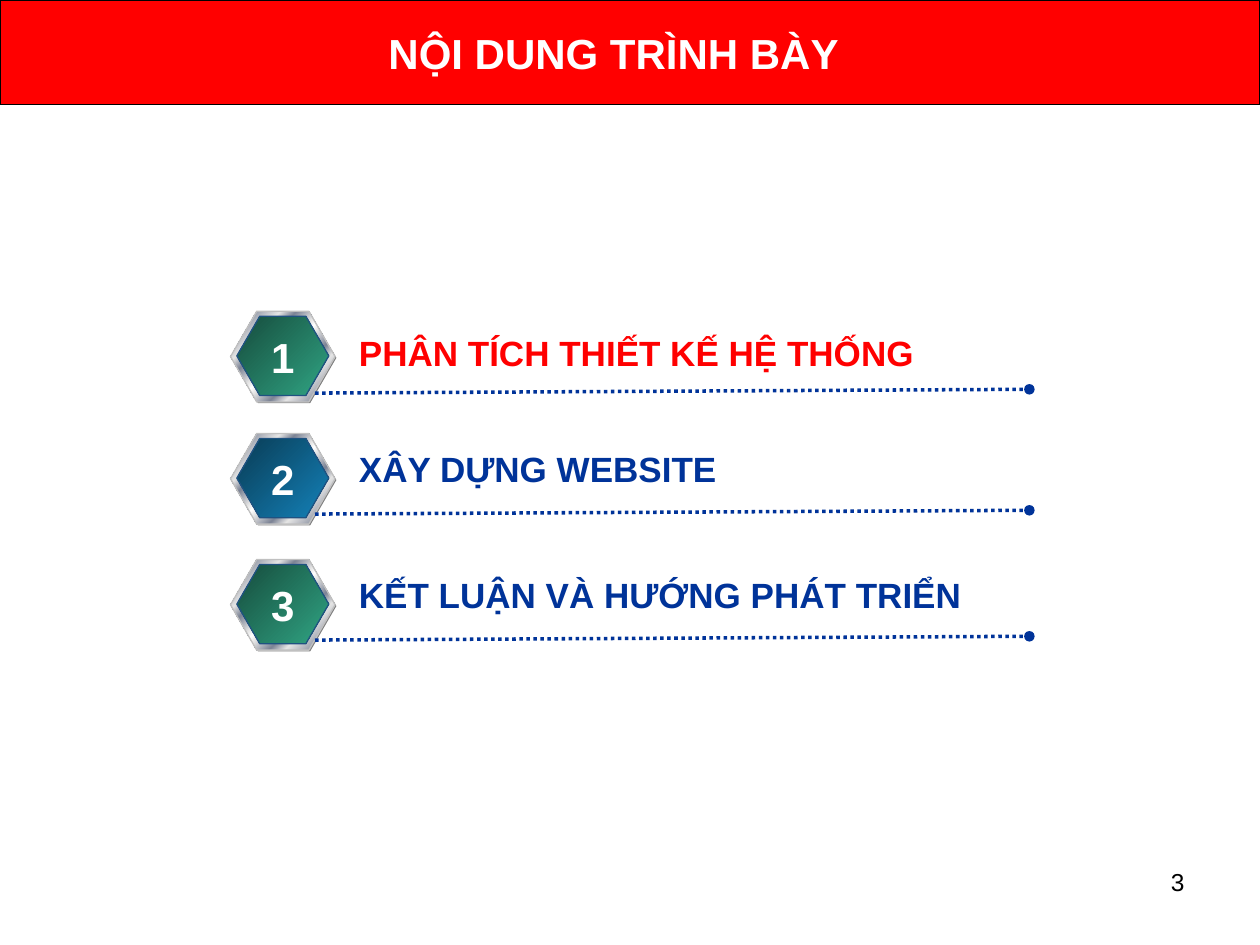
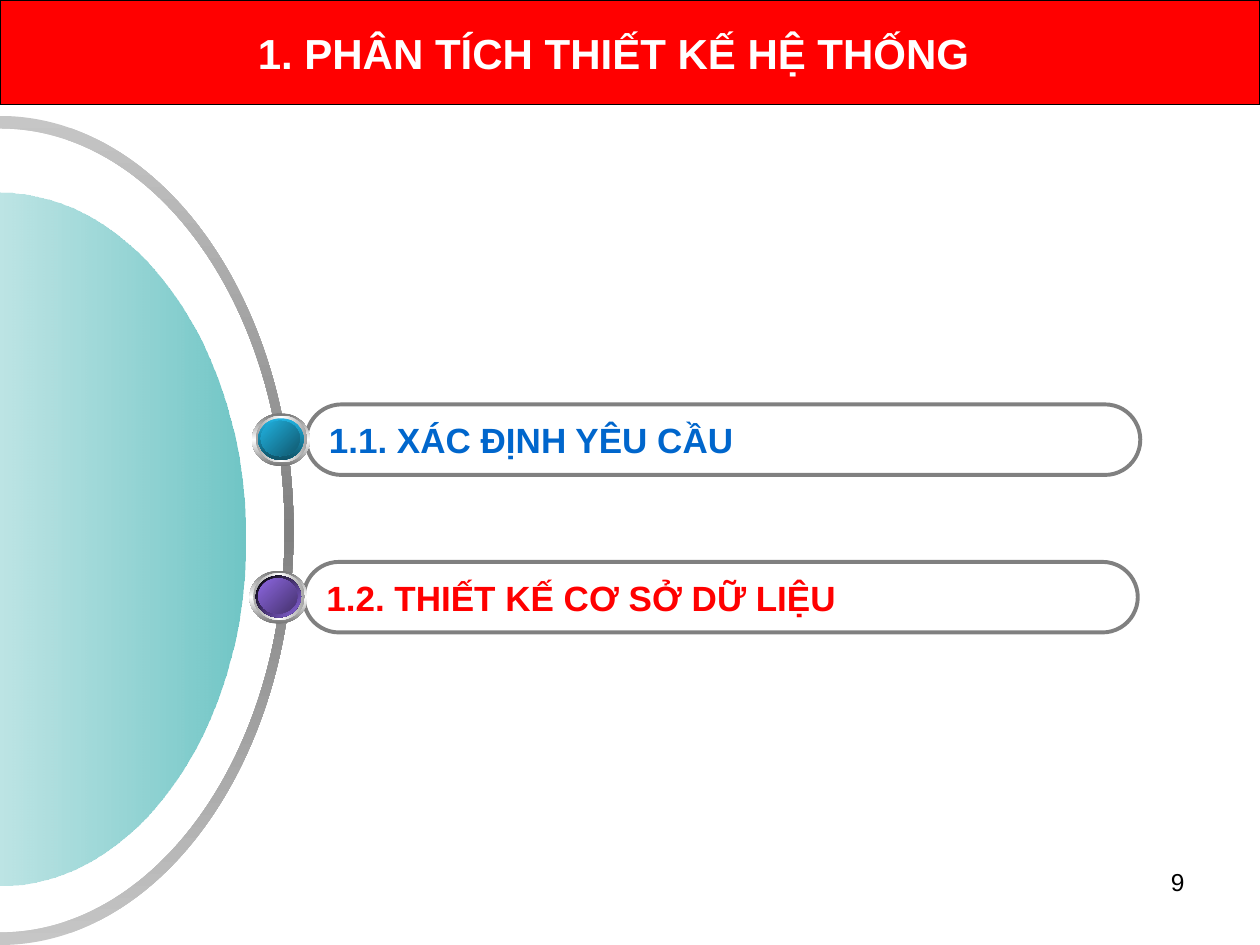
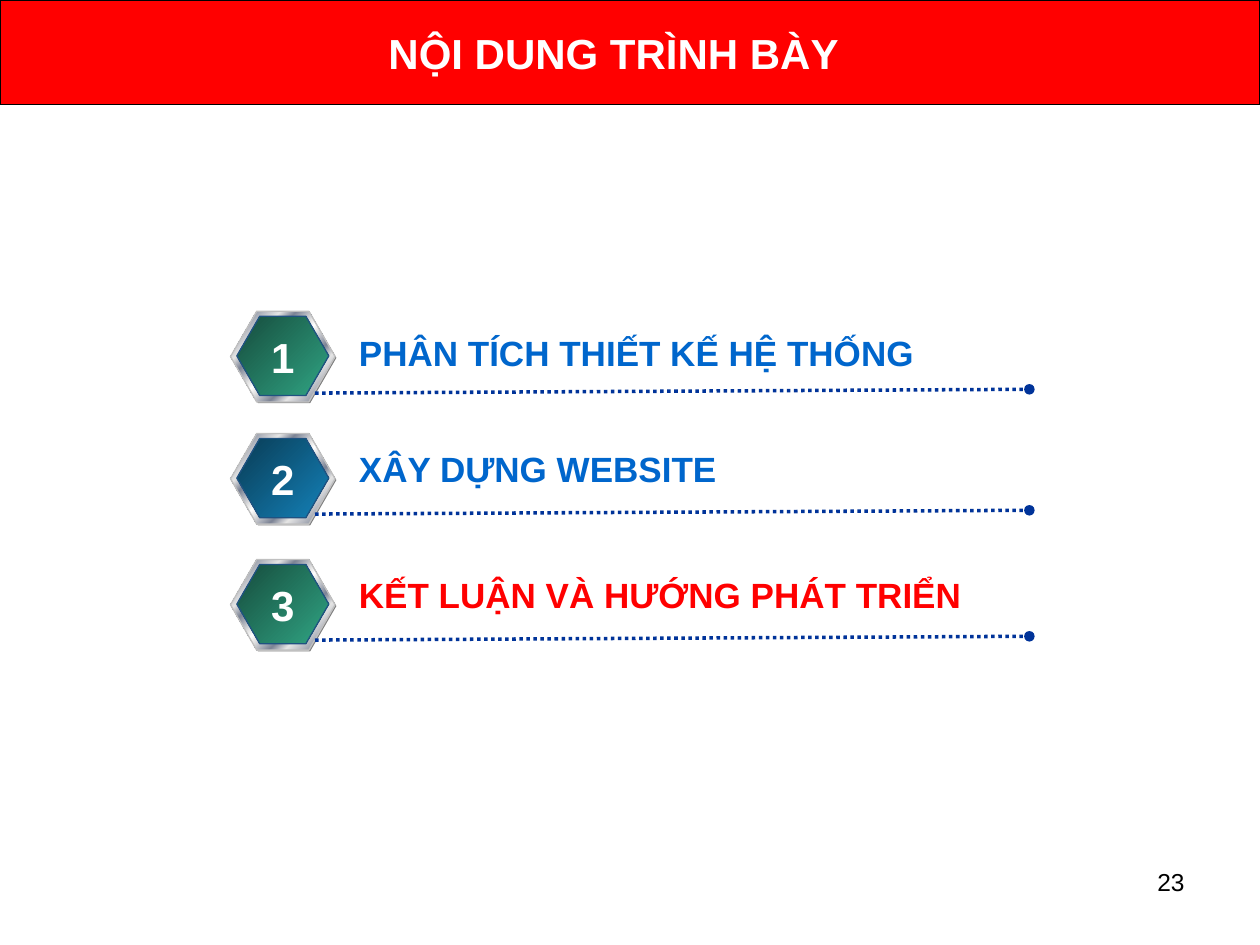
from lxml import etree
from pptx import Presentation
from pptx.dml.color import RGBColor
from pptx.enum.dml import MSO_LINE
from pptx.enum.shapes import MSO_CONNECTOR, MSO_SHAPE
from pptx.enum.text import MSO_ANCHOR, MSO_AUTO_SIZE, PP_ALIGN
from pptx.oxml.ns import qn
from pptx.util import Emu, Pt

RECT = MSO_SHAPE.RECTANGLE
HEX = MSO_SHAPE.HEXAGON
PILL = MSO_SHAPE.ROUNDED_RECTANGLE
OVAL = MSO_SHAPE.OVAL
STRAIGHT = MSO_CONNECTOR.STRAIGHT
DOTS = MSO_LINE.ROUND_DOT
LEFT, MID, RIGHT = PP_ALIGN.LEFT, PP_ALIGN.CENTER, PP_ALIGN.RIGHT
TOP, MIDDLE = MSO_ANCHOR.TOP, MSO_ANCHOR.MIDDLE
GROW = MSO_AUTO_SIZE.SHAPE_TO_FIT_TEXT

FONT = "Arial"
RED, NAVY, BLUE = "FF0000", "003399", "0066CC"
WHITE, BLACK, GRAY = "FFFFFF", "000000", "808080"
GREEN_FACE = [(0, "164C3D"), (100, "30A483")]
BLUE_FACE = [(0, "093C55"), (100, "1481B8")]
STEEL = [(0, "E6E6E6"), (8, "7D8496"), (26, "E6E6E6"), (34, "7D8496"),
         (46, "E6E6E6"), (50, "FFFFFF"), (54, "E6E6E6"), (66, "7D8496"),
         (74, "E6E6E6"), (92, "7D8496"), (100, "E6E6E6")]

AGENDA = "NỘI DUNG TRÌNH BÀY"
ROWS = [
    ("PHÂN TÍCH THIẾT KẾ HỆ THỐNG", 247, 258, 312, GREEN_FACE),
    ("XÂY DỰNG WEBSITE", 344, 350, 408, BLUE_FACE),
    ("KẾT LUẬN VÀ HƯỚNG PHÁT TRIỂN", 444, 450, 508, GREEN_FACE),
]


def px(*sizes):
    return [Emu(round(size * 9144)) for size in sizes]


def rgb(code):
    return RGBColor.from_string(code)


def blend(shape, stops, angle):
    shape.fill.gradient()
    grad = shape._element.spPr.find(qn("a:gradFill"))
    grad.find(qn("a:lin")).set("ang", str(angle * 60000))
    group = grad.find(qn("a:gsLst"))
    for old in list(group):
        group.remove(old)
    for place, code, *alpha in stops:
        stop = etree.SubElement(group, qn("a:gs"), pos=str(place * 1000))
        tint = etree.SubElement(stop, qn("a:srgbClr"), val=code)
        for part in alpha:
            etree.SubElement(tint, qn("a:alpha"), val=str(part * 1000))


def paint(shape, fill=None, angle=0, line=None, width=0.75):
    shape.shadow.inherit = False
    if fill is None:
        shape.fill.background()
    elif isinstance(fill, str):
        shape.fill.solid()
        shape.fill.fore_color.rgb = rgb(fill)
    else:
        blend(shape, fill, angle)
    if line:
        shape.line.color.rgb = rgb(line)
        shape.line.width = Pt(width)
    else:
        shape.line.fill.background()


def draw(slide, kind, box, adjust=None, **look):
    shape = slide.shapes.add_shape(kind, *px(*box))
    if adjust is not None:
        shape.adjustments[0] = adjust
    paint(shape, **look)
    return shape


def write(shape, text, size, color, bold=True, align=LEFT, anchor=MIDDLE, wrap=True):
    frame = shape.text_frame
    frame.text = text
    frame.word_wrap = wrap
    frame.vertical_anchor = anchor
    para = frame.paragraphs[0]
    para.alignment = align
    font = para.runs[0].font
    font.name = FONT
    font.size = Pt(size)
    font.bold = bold
    font.color.rgb = rgb(color)


def label(slide, box, text, size, color, **style):
    shape = slide.shapes.add_textbox(*px(*box))
    write(shape, text, size, color, **style)
    shape.text_frame.auto_size = GROW


def start(deck, text, number):
    slide = deck.slides.add_slide(deck.slide_layouts[5])
    band = draw(slide, RECT, (0, 0, 1000, 83), fill=RED, line=BLACK)
    title = slide.shapes.title
    title._element.addprevious(band._element)
    title.left, title.top, title.width, title.height = px(183, 17, 608, 50)
    write(title, text, 24, WHITE, align=MID, anchor=TOP)
    title.text_frame.auto_size = GROW
    page = slide.shapes.add_textbox(*px(717, 683, 233, 52))
    write(page, number, 14, BLACK, bold=False, align=RIGHT, anchor=TOP)
    return slide


def dotted(slide, top):
    line = slide.shapes.add_connector(STRAIGHT, *px(250, top, 817, top - 3))
    line.line.color.rgb = rgb(NAVY)
    line.line.width = Pt(2)
    line.line.dash_style = DOTS
    etree.SubElement(line.line._get_or_add_ln(), qn("a:tailEnd"), type="oval")
    etree.SubElement(line._element.spPr, qn("a:effectLst"))


def badge(slide, top, number, face):
    draw(slide, HEX, (184, top + 1, 83, 72), 0.289, fill=GRAY)
    draw(slide, HEX, (183, top, 83, 72), 0.289, fill=STEEL, angle=45, line="C0C0C0")
    draw(slide, HEX, (188, top + 4, 73, 63), 0.289, fill=face, angle=45, line="1F5281")
    label(slide, (205, top + 11, 39, 50), number, 24, WHITE, align=MID, wrap=False)


def agenda(deck, number, active, color):
    slide = start(deck, AGENDA, number)
    for index, (text, top, text_top, line_top, face) in enumerate(ROWS, 1):
        badge(slide, top, str(index), face)
        dotted(slide, line_top)
        label(slide, (275, text_top, 542, 43), text, 20,
              RED if index == active else color)


def arc(mid, wide, high):
    bend = 0.55
    half = [(0, -1), (bend, -1), (1, -bend), (1, 0), (1, bend), (bend, 1), (0, 1)]
    return [px(wide * across, mid + high * down) for across, down in half]


def outline(slide, points, order, fill, angle):
    pen = slide.shapes.build_freeform(*points[0])
    pen.add_line_segments(points[1:])
    shape = pen.convert_to_shape()
    lines = list(shape._element.spPr.iter(qn("a:lnTo")))
    for kind in order:
        if kind == "L":
            lines.pop(0)
            continue
        trio, lines = lines[:3], lines[3:]
        curve = etree.Element(qn("a:cubicBezTo"))
        trio[0].addprevious(curve)
        for line in trio:
            curve.append(line[0])
            line.getparent().remove(line)
    paint(shape, fill, angle)


def bead(slide, left, top, edge, edge_angle, core):
    rings = [
        (0, 0, 46, 42, [(0, "767676"), (50, WHITE), (100, "767676")], 90),
        (3, 2, 41, 37, [(0, "A2A2A2"), (50, WHITE), (100, "A2A2A2")], 0),
        (5, 4, 36, 33, edge, edge_angle),
        (7, 6, 31, 28, core, 45),
    ]
    for across, down, wide, high, fill, angle in rings:
        draw(slide, OVAL, (left + across, top + down, wide, high), fill=fill, angle=angle)


def topic(slide, left, top, text, color):
    pill = draw(slide, PILL, (left, top, 662, 56), 0.5, line=GRAY, width=2.25)
    write(pill, text, 20, color, wrap=False)


def section(deck):
    slide = start(deck, "1. PHÂN TÍCH THIẾT KẾ HỆ THỐNG", "9")
    ring = arc(421, 233, 329) + arc(421, 226, 319)[::-1]
    outline(slide, ring, "CCLCC", [(0, "C6C6C6"), (50, GRAY), (100, "C6C6C6")], 90)
    outline(slide, arc(428, 195, 275), "CC",
            [(0, "80CCCC", 52), (100, "009999", 56)], 0)
    topic(slide, 241, 446, "1.2. THIẾT KẾ CƠ SỞ DỮ LIỆU", RED)
    topic(slide, 243, 321, "1.1. XÁC ĐỊNH YÊU CẦU", BLUE)
    bead(slide, 200, 328, [(0, "21B3E1"), (100, "0F5368")], 90,
         [(0, "21B3E1"), (100, "10576D")])
    bead(slide, 198, 453, [(0, BLACK), (100, "8D67E1")], 45,
         [(0, "8D67E1"), (100, "45326D")])


def main():
    deck = Presentation()
    deck.slide_width, deck.slide_height = px(1000, 750)
    agenda(deck, "3", 1, NAVY)
    section(deck)
    agenda(deck, "23", 3, BLUE)
    deck.save("out.pptx")


if __name__ == "__main__":
    main()
